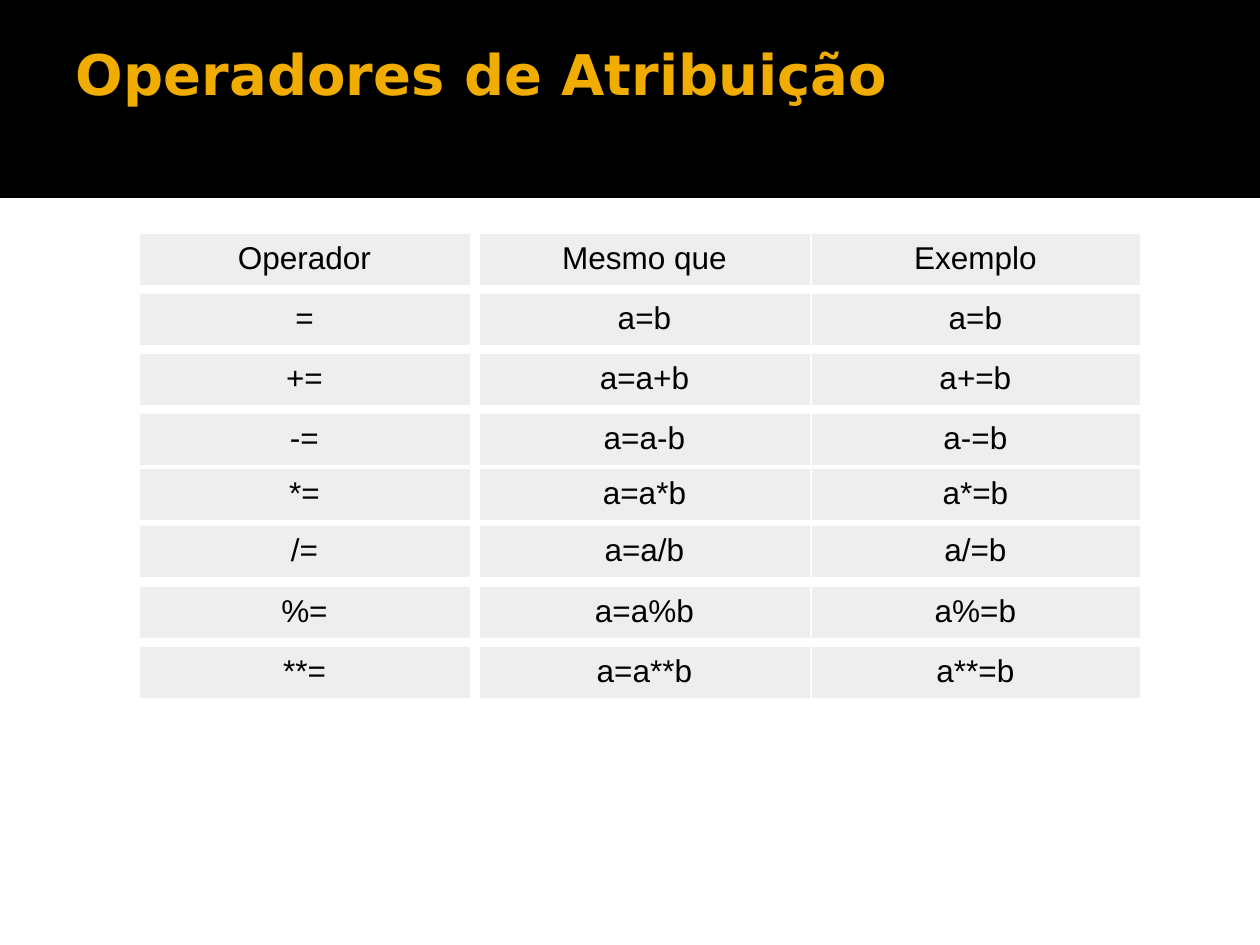
import pptx
import pptx.util
import pptx.dml.color
import pptx.enum.shapes
import pptx.enum.text
import pptx.oxml.ns
import lxml.etree

PX = 914400 // 126
ROWS = [
    ("Operador", "Mesmo que", "Exemplo"),
    ("=", "a=b", "a=b"),
    ("+=", "a=a+b", "a+=b"),
    ("-=", "a=a-b", "a-=b"),
    ("*=", "a=a*b", "a*=b"),
    ("/=", "a=a/b", "a/=b"),
    ("%=", "a=a%b", "a%=b"),
    ("**=", "a=a**b", "a**=b"),
]
# Offsets inside the grid box
COLUMNS = [(0, 331), (340, 331), (672, 329)]
ROW_TOPS = [0, 60, 120, 180, 235, 292, 353, 413]
ROW_HEIGHT = 52
GRID_RIGHT, GRID_BOTTOM = 1014, 473


def px(n):
    return pptx.util.Emu(n * PX)


def rgb(color):
    return pptx.dml.color.RGBColor.from_string(color)


def add_run(p, text, size, font, color, bold=False):
    r = p.add_run()
    r.text = text
    r.font.size = pptx.util.Pt(size)
    r.font.name = font
    r.font.bold = bold
    r.font.color.rgb = rgb(color)


def set_frame(tf, left, top, right, bottom):
    tf.word_wrap = True
    tf.auto_size = pptx.enum.text.MSO_AUTO_SIZE.NONE
    tf.vertical_anchor = pptx.enum.text.MSO_ANCHOR.TOP
    tf.margin_left, tf.margin_top = px(left), px(top)
    tf.margin_right, tf.margin_bottom = px(right), px(bottom)


def add_rect(shapes, x, y, w, h, color):
    sp = shapes.add_shape(pptx.enum.shapes.MSO_SHAPE.RECTANGLE,
                          px(x), px(y), px(w), px(h))
    sp.shadow.inherit = False
    sp.fill.solid()
    sp.fill.fore_color.rgb = rgb(color)
    sp.line.fill.background()
    return sp


def add_rule(shapes, x1, y1, x2, y2):
    """Draw a white hairline."""
    line = shapes.add_connector(pptx.enum.shapes.MSO_CONNECTOR.STRAIGHT,
                                px(x1), px(y1), px(x2), px(y2))
    line.line.color.rgb = rgb("FFFFFF")
    line.line.width = pptx.util.Pt(0.06)
    lxml.etree.SubElement(line._element.spPr, pptx.oxml.ns.qn("a:effectLst"))


def add_header(s, x, y, w, h):
    band = add_rect(s.shapes, x, y, w, h, "000000")
    s.shapes._spTree.insert(2, band._element)  # behind the title
    title = s.shapes.title
    title.left, title.top = px(x + 63), px(y + 21)
    title.width, title.height = px(w - 126), px(173)
    tf = title.text_frame
    set_frame(tf, 13, 6, 13, 6)
    p = tf.paragraphs[0]
    p.alignment = pptx.enum.text.PP_ALIGN.LEFT
    p.line_spacing = 0.9
    p.space_before = pptx.util.Pt(0)
    add_run(p, "Operadores de Atribuição", 32, "DejaVu Sans", "F0AD00", True)
    add_run(p, " ", 45, "Cabin", "F0AD00", True)


def add_cell(shapes, x, y, w, h, text):
    tf = add_rect(shapes, x, y, w, h, "EEEEEE").text_frame
    set_frame(tf, 5, 8, 5, 5)
    p = tf.paragraphs[0]
    p.alignment = pptx.enum.text.PP_ALIGN.CENTER
    p.line_spacing = 0.93
    add_run(p, text, 18, "Arial", "000000")


def add_operator_grid(s, x, y):
    shapes = s.shapes.add_group_shape().shapes
    for top, row in zip(ROW_TOPS, ROWS):
        for (left, width), text in zip(COLUMNS, row):
            add_cell(shapes, x + left, y + top, width, ROW_HEIGHT, text)
    for top in ROW_TOPS + [GRID_BOTTOM]:
        for left, width in COLUMNS:
            add_rule(shapes, x + left, y + top, x + left + width, y + top)
    for left in [left for left, width in COLUMNS] + [GRID_RIGHT]:
        for top in ROW_TOPS:
            add_rule(shapes, x + left, y + top, x + left, y + top + ROW_HEIGHT)


def main():
    prs = pptx.Presentation()
    prs.slide_width, prs.slide_height = px(1260), px(945)
    s = prs.slides.add_slide(prs.slide_layouts[5])
    s.background.fill.solid()
    s.background.fill.fore_color.rgb = rgb("FFFFFF")
    add_header(s, 0, 0, 1260, 198)
    add_operator_grid(s, 139, 233)
    prs.save("out.pptx")


if __name__ == "__main__":
    main()
